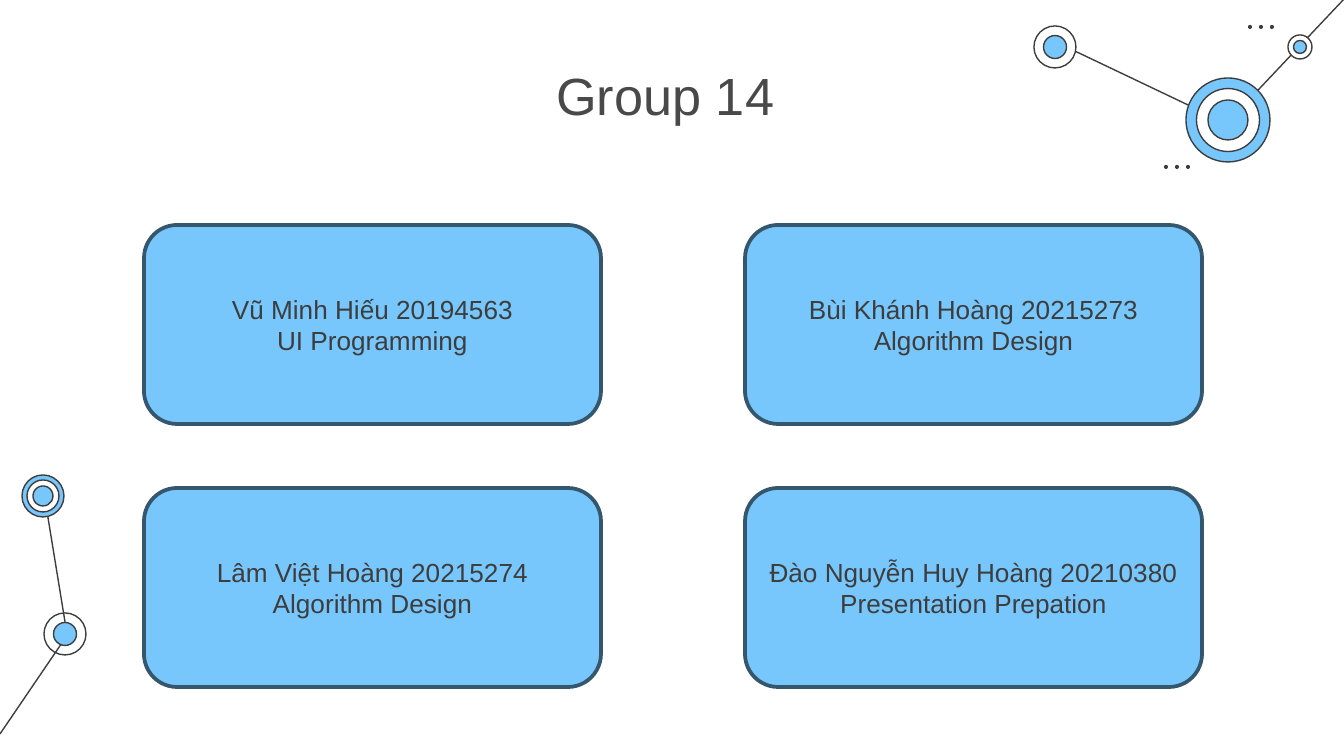
import dataclasses

import pptx
import pptx.dml.color
import pptx.enum.shapes
import pptx.enum.text
import pptx.oxml.ns
import pptx.util
from lxml import etree

EMU_PER_PX = 914400 / 134.4
SHAPES = pptx.enum.shapes.MSO_SHAPE


@dataclasses.dataclass(frozen=True)
class Theme:
    font: str = "Arial"
    blue: str = "77C6FC"
    white: str = "FFFFFF"
    ink: str = "3D3D3D"
    title: str = "494949"
    border: str = "34576E"
    title_size: int = 28
    card_size: int = 14
    thin: float = 0.75
    thick: float = 2


THEME = Theme()

LINKS = [
    ((67, 634), (44, 493)),
    ((0, 734), (66, 637)),
    ((1228, 124), (1058, 43)),
    ((1344, -1), (1228, 122)),
]
# Centre of each node, then (diameter, fill) of its discs from back to front.
NODES = [
    ((65, 634), [(42, None), (23, THEME.blue)]),
    ((43, 496), [(42, THEME.blue), (32, THEME.white), (20, THEME.blue)]),
    ((1228, 120), [(84, THEME.blue), (63, THEME.white), (40, THEME.blue)]),
    ((1055, 47), [(42, THEME.white), (23, THEME.blue)]),
    ((1300, 47), [(24, THEME.white), (13, THEME.blue)]),
]
DOT_ROWS = [(1250, 27), (1166, 167)]
DOT_SIZE, DOT_PITCH = 4, 11

MEMBERS = [
    ("Vũ Minh Hiếu 20194563", "UI Programming"),
    ("Bùi Khánh Hoàng 20215273", "Algorithm Design"),
    ("Lâm Việt Hoàng 20215274", "Algorithm Design"),
    ("Đào Nguyễn Huy Hoàng 20210380", "Presentation Prepation"),
]
CARD_LEFT, CARD_TOP = 144, 225
CARD_WIDTH, CARD_HEIGHT = 457, 199
CARD_STEP_X, CARD_STEP_Y = 601, 263


def px(*lengths):
    return [pptx.util.Emu(round(length * EMU_PER_PX)) for length in lengths]


def rgb(colour):
    return pptx.dml.color.RGBColor.from_string(colour)


def set_line(line, colour, width):
    line.color.rgb = rgb(colour)
    line.width = pptx.util.Pt(width)


def add_link(slide, start, end):
    link = slide.shapes.add_connector(
        pptx.enum.shapes.MSO_CONNECTOR.STRAIGHT, *px(*start, *end))
    set_line(link.line, THEME.ink, THEME.thin)
    properties = link._element.spPr
    etree.SubElement(properties, pptx.oxml.ns.qn("a:effectLst"))


def add_filled(slide, kind, bounds, fill):
    """Add a preset shape without shadow; a fill of None leaves it hollow."""
    shape = slide.shapes.add_shape(kind, *px(*bounds))
    shape.shadow.inherit = False
    if fill is None:
        shape.fill.background()
    else:
        shape.fill.solid()
        shape.fill.fore_color.rgb = rgb(fill)
    return shape


def add_disc(slide, centre, diameter, fill):
    left, top = (middle - diameter / 2 for middle in centre)
    return add_filled(slide, SHAPES.OVAL, (left, top, diameter, diameter), fill)


def add_node(slide, centre, discs):
    for diameter, fill in discs:
        disc = add_disc(slide, centre, diameter, fill)
        set_line(disc.line, THEME.ink, THEME.thin)


def add_dots(slide, first_x, y):
    for index in range(3):
        dot = add_disc(slide, (first_x + index * DOT_PITCH, y), DOT_SIZE, THEME.ink)
        dot.line.fill.background()


def write_lines(shape, lines, size, colour, anchor):
    frame = shape.text_frame
    frame.word_wrap = True
    frame.vertical_anchor = anchor
    font_format = {"name": THEME.font, "size": pptx.util.Pt(size)}
    for index, line in enumerate(lines):
        para = frame.paragraphs[0] if index == 0 else frame.add_paragraph()
        para.alignment = pptx.enum.text.PP_ALIGN.CENTER
        span = para.add_run()
        span.text = line
        span.font.color.rgb = rgb(colour)
        for name, value in font_format.items():
            setattr(span.font, name, value)


def add_title(slide, text):
    box = slide.shapes.add_textbox(*px(372, 50, 601, 85))
    inset = pptx.util.Inches(0.1)
    for side in ("left", "top", "right", "bottom"):
        setattr(box.text_frame, f"margin_{side}", inset)
    write_lines(box, [text], THEME.title_size, THEME.title,
                pptx.enum.text.MSO_ANCHOR.TOP)


def add_card(slide, row, column, lines):
    bounds = (CARD_LEFT + column * CARD_STEP_X, CARD_TOP + row * CARD_STEP_Y,
              CARD_WIDTH, CARD_HEIGHT)
    card = add_filled(slide, SHAPES.ROUNDED_RECTANGLE, bounds, THEME.blue)
    set_line(card.line, THEME.border, THEME.thick)
    write_lines(card, lines, THEME.card_size, THEME.ink,
                pptx.enum.text.MSO_ANCHOR.MIDDLE)


def main():
    deck = pptx.Presentation()
    deck.slide_width, deck.slide_height = px(1344, 756)
    slide = deck.slides.add_slide(deck.slide_layouts[6])

    for start, end in LINKS:
        add_link(slide, start, end)
    for centre, discs in NODES:
        add_node(slide, centre, discs)
    for first_x, y in DOT_ROWS:
        add_dots(slide, first_x, y)

    add_title(slide, "Group 14 ")
    for index, lines in enumerate(MEMBERS):
        row, column = divmod(index, 2)
        add_card(slide, row, column, lines)

    deck.save("out.pptx")


if __name__ == "__main__":
    main()
